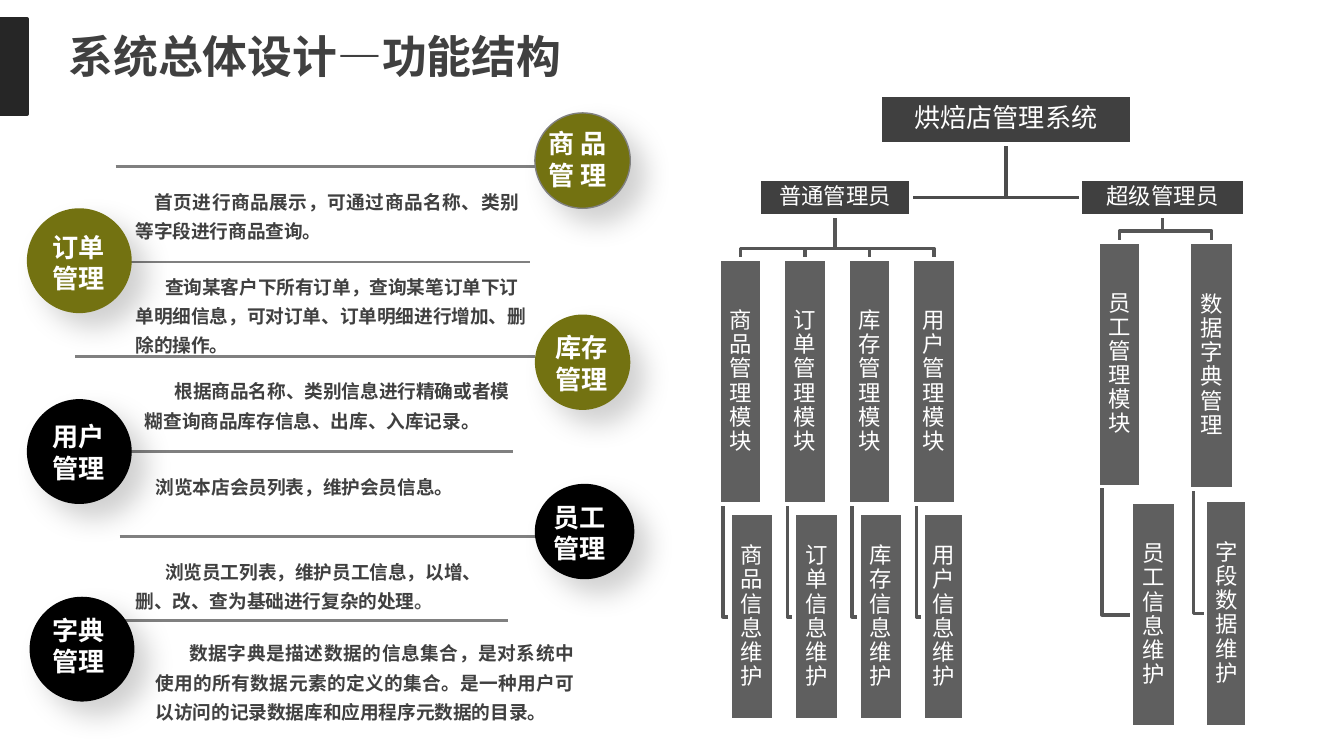
import pptx
import pptx.util
import pptx.dml.color
import pptx.enum.shapes
import pptx.enum.text
import pptx.oxml
import pptx.oxml.ns
from lxml import etree

FONT = "Noto Sans CJK SC"
COLORS = {
    "tab": "262626", "dark": "404040", "module": "5F5F5F", "branch": "565656",
    "trunk": "4C4C4C", "rule": "808080", "olive": "737211", "black": "000000",
    "white": "FFFFFF", "stop": "595959",
}
TITLE = "系统总体设计—功能结构"

# Circles: label lines, circle box, label box, fill
BADGES = [
    (["商 品 管 理"], (3.98, 0.84, 0.71, 0.71), (3.91, 0.9, 0.78, 0.57), "olive"),
    (["订单", "管理"], (0.2, 1.55, 0.78, 0.78), (0.29, 1.67, 0.59, 0.57), "olive"),
    (["库存", "管理"], (3.98, 2.34, 0.71, 0.71), (4.03, 2.42, 0.59, 0.57), "olive"),
    (["用户", "管理"], (0.2, 2.97, 0.78, 0.78), (0.29, 3.08, 0.59, 0.57), "black"),
    (["员工", "管理"], (3.98, 3.6, 0.74, 0.71), (4.02, 3.68, 0.59, 0.57), "black"),
    (["字典", "管理"], (0.22, 4.44, 0.78, 0.78), (0.29, 4.52, 0.59, 0.57), "black"),
]
# Rules: from x, to x, y
RULES = [(0.86, 3.98, 1.24), (0.53, 3.94, 1.95), (0.56, 3.98, 2.65),
         (0.4, 3.82, 3.36), (0.89, 4.06, 3.99), (0.73, 3.78, 4.62)]
# Descriptions: runs, box, first-line indent, justified
DESCRIPTIONS = [
    ([("首页进行商品展示，可通过商品名称、类别等字段进行商品查询。", "dark")],
     (0.91, 1.32, 3.05, 0.51), 0.14, True),
    ([("查询某客户下所有订单，查询某笔订单下订单明细信息，可对订单、订单明细进行增加、删除的操作。", "dark")],
     (0.91, 1.95, 3.14, 0.73), 0.22, False),
    ([("根据商品名称、类别信息进行精确或者模糊查询商品库存信息、出库、入库记录。", "dark")],
     (0.98, 2.73, 2.94, 0.52), 0.22, False),
    ([("浏览本店会员列表，维护会员信息。", "dark")], (1.06, 3.44, 2.79, 0.3), 0, True),
    ([("浏览员工列表，维护员工信息，以增、删、改、查为基础进行复杂的处理", "dark"), ("。", "stop")],
     (0.91, 4.07, 2.88, 0.52), 0.22, False),
    ([("数据字典是描述数据的信息集合，是对系统中使用的所有数据元素的定义的集合。"
       "是一种用户可以访问的记录数据库和应用程序元数据的目录。", "dark")],
     (1.06, 4.68, 3.31, 0.74), 0.25, True),
]
# Tree: each branch has its box, the first module's corner and the column pitch;
# each column has module, leaf, module size, leaf offset and leaf size
ROOT = ("烘焙店管理系统", (6.55, 0.71, 1.87, 0.36))
BRANCHES = [
    ("普通管理员", (5.65, 1.33, 1.13, 0.28), (5.35, 1.93), 0.48, [
        (name + "管理模块", name + "信息维护", (0.32, 1.82), (0.08, 1.89), (width, 1.54))
        for name, width in [("商品", 0.33), ("订单", 0.33), ("库存", 0.33), ("用户", 0.3)]]),
    ("超级管理员", (8.04, 1.33, 1.22, 0.28), (8.17, 1.8), 0.68, [
        ("员工管理模块", "员工信息维护", (0.32, 1.82), (0.25, 1.94), (0.33, 1.67)),
        ("数据字典管理", "字段数据维护", (0.33, 1.84), (0.12, 1.92), (0.31, 1.69))]),
]
BEND, STEM = 0.08, 0.03

ALIGN = pptx.enum.text.PP_ALIGN
ANCHOR = pptx.enum.text.MSO_ANCHOR
PRESET = pptx.enum.shapes.MSO_SHAPE
SHADOW = ('<a:effectLst xmlns:a="http://schemas.openxmlformats.org/drawingml/2006/main">'
          '<a:outerShdw blurRad="190500" dist="139700" dir="2700000">'
          '<a:srgbClr val="000000"><a:alpha val="18000"/></a:srgbClr>'
          '</a:outerShdw></a:effectLst>')

deck = pptx.Presentation()
deck.slide_width = pptx.util.Inches(10)
deck.slide_height = deck.slide_width * 9 // 16
slide = deck.slides.add_slide(deck.slide_layouts[5])


def inches(values):
    return [pptx.util.Inches(v) for v in values]


def rgb(name):
    return pptx.dml.color.RGBColor.from_string(COLORS[name])


def add_run(paragraph, text, size, color, bold):
    run = paragraph.add_run()
    run.text = text
    run.font.name, run.font.size, run.font.bold = FONT, pptx.util.Pt(size), bold
    run.font.color.rgb = rgb(color)
    east = etree.SubElement(run.font._element, pptx.oxml.ns.qn("a:ea"))
    east.set("typeface", FONT)


def set_frame(frame, inset_x, inset_y, anchor, wrap=True):
    frame.margin_left = frame.margin_right = pptx.util.Inches(inset_x)
    frame.margin_top = frame.margin_bottom = pptx.util.Inches(inset_y)
    frame.vertical_anchor, frame.word_wrap = anchor, wrap


def set_line(shape, color, width):
    shape.line.color.rgb = rgb(color)
    shape.line.width = pptx.util.Pt(width)


def add_block(preset, box, fill, line=None, width=2):
    shape = slide.shapes.add_shape(preset, *inches(box))
    shape.shadow.inherit = False
    shape.fill.solid()
    shape.fill.fore_color.rgb = rgb(fill)
    if line:
        set_line(shape, line, width)
    else:
        shape.line.fill.background()
    return shape


def add_node(text, box, fill, size=12):
    frame = add_block(PRESET.RECTANGLE, box, fill, "white").text_frame
    set_frame(frame, 0.01, 0.01, ANCHOR.MIDDLE)
    paragraph = frame.paragraphs[0]
    paragraph.alignment, paragraph.line_spacing = ALIGN.CENTER, 0.9
    add_run(paragraph, text, size, "white", False)


def add_elbow(points, color):
    start, *rest = [inches(point) for point in points]
    builder = slide.shapes.build_freeform(*start)
    builder.add_line_segments(rest, close=False)
    elbow = builder.convert_to_shape()
    elbow.shadow.inherit = False
    elbow.fill.background()
    set_line(elbow, color, 2)


# Title and corner tab
add_block(PRESET.RECTANGLE, (0, 0.14, 0.2, 0.71), "tab", "tab")
title = slide.shapes.title
title.left, title.top, title.width, title.height = inches((0.51, 0.21, 3.71, 0.4))
set_frame(title.text_frame, 0, 0, ANCHOR.TOP, False)
title.text_frame.paragraphs[0].alignment = ALIGN.LEFT
add_run(title.text_frame.paragraphs[0], TITLE, 24, "dark", True)

# Tree: links first, then the nodes above them
nodes = [(*ROOT, "dark", 14)]
root_x, root_y, root_w, root_h = ROOT[1]
root_mid = root_x + root_w / 2
for name, (x, y, w, h), (first_x, module_y), pitch, columns in BRANCHES:
    side = x if x > root_mid else x + w
    add_elbow([(root_mid, root_y + root_h), (root_mid, y + h / 2), (side, y + h / 2)], "trunk")
    nodes.append((name, (x, y, w, h), "dark"))
    middle = x + w / 2
    for i, (module, leaf, (mw, mh), (dx, dy), (lw, lh)) in enumerate(columns):
        module_x = first_x + i * pitch
        leaf_x, leaf_y = module_x + dx, module_y + dy
        center, bend_y = module_x + mw / 2, module_y - BEND
        add_elbow([(middle, y + h), (middle, bend_y), (center, bend_y), (center, module_y)], "branch")
        stem, leaf_mid = module_x + STEM, leaf_y + lh / 2
        add_elbow([(stem, module_y + mh), (stem, leaf_mid), (leaf_x, leaf_mid)], "branch")
        nodes += [(module, (module_x, module_y, mw, mh), "module"),
                  (leaf, (leaf_x, leaf_y, lw, lh), "module")]
for node in nodes:
    add_node(*node)

# Rules
for start, end, y in RULES:
    rule = slide.shapes.add_connector(pptx.enum.shapes.MSO_CONNECTOR.STRAIGHT,
                                      *inches((start, y, end, y)))
    set_line(rule, "rule", 1.5)
    etree.SubElement(rule._element.spPr, pptx.oxml.ns.qn("a:effectLst"))

# Circles with soft shadows and their labels
for i, (lines, circle, label, fill) in enumerate(BADGES):
    badge = add_block(PRESET.OVAL, circle, fill, "rule" if i == 0 else None, 0.75)
    plain = badge._element.spPr.find(pptx.oxml.ns.qn("a:effectLst"))
    badge._element.spPr.replace(plain, pptx.oxml.parse_xml(SHADOW))
    frame = slide.shapes.add_textbox(*inches(label)).text_frame
    set_frame(frame, 0.1, 0.05, ANCHOR.TOP, len(lines) == 1)
    for n, line in enumerate(lines):
        paragraph = frame.add_paragraph() if n else frame.paragraphs[0]
        paragraph.alignment = ALIGN.CENTER
        add_run(paragraph, line, 14, "white", True)

# Descriptions
for runs, box, indent, justified in DESCRIPTIONS:
    frame = slide.shapes.add_textbox(*inches(box)).text_frame
    set_frame(frame, 0.1, 0.05, ANCHOR.TOP)
    paragraph = frame.paragraphs[0]
    paragraph.alignment = ALIGN.JUSTIFY if justified else ALIGN.LEFT
    paragraph.line_spacing = 1.3
    paragraph._p.get_or_add_pPr().set("indent", str(pptx.util.Inches(indent)))
    for text, color in runs:
        add_run(paragraph, text, 10, color, True)

deck.save("out.pptx")
